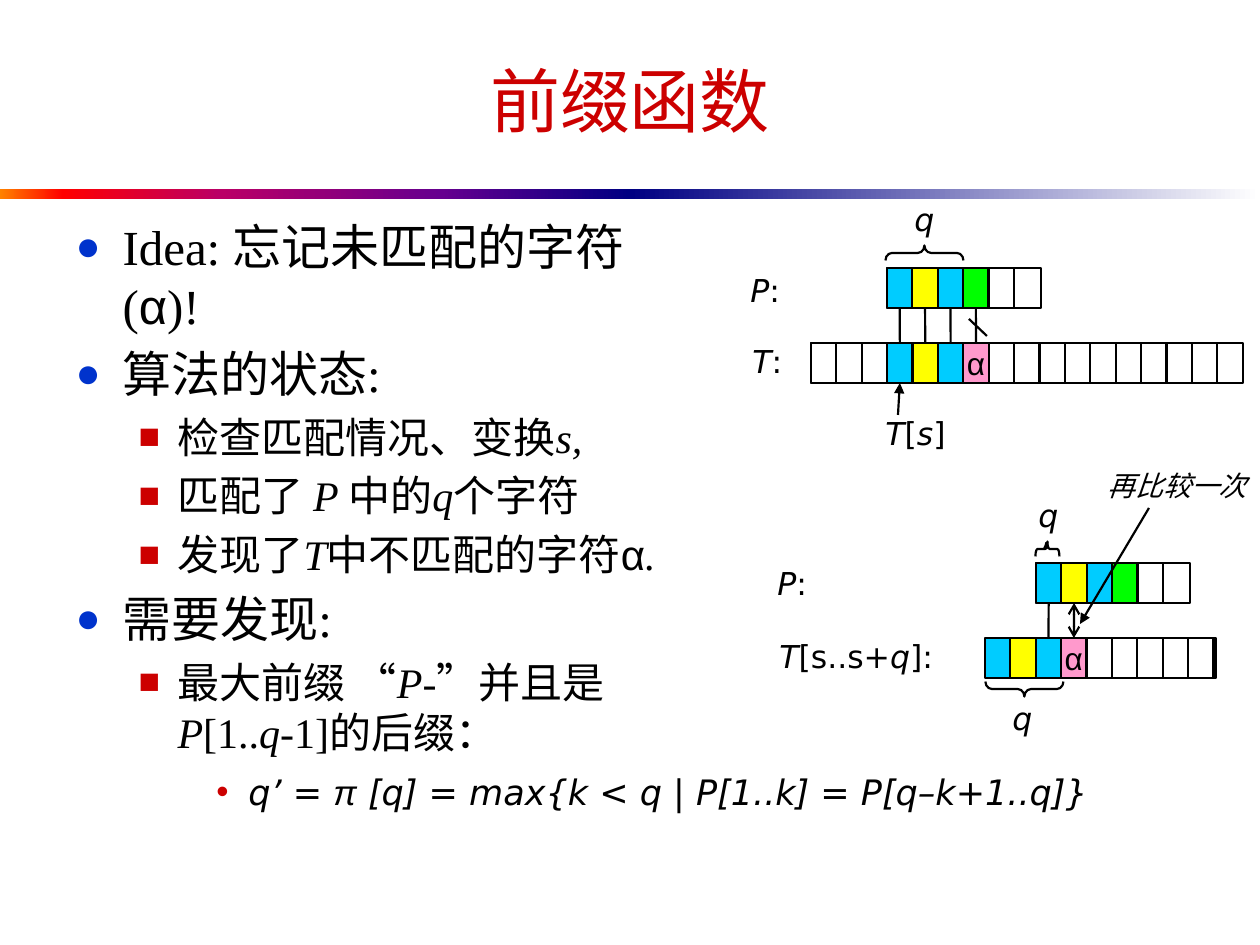
"""Build the slide on the prefix function of string matching."""
from dataclasses import dataclass
from itertools import groupby

from lxml import etree
from pptx import Presentation
from pptx.dml.color import RGBColor
from pptx.enum.shapes import MSO_CONNECTOR, MSO_SHAPE
from pptx.enum.text import MSO_ANCHOR, MSO_AUTO_SIZE, PP_ALIGN
from pptx.oxml.ns import qn
from pptx.util import Pt

RECT, BRACE = MSO_SHAPE.RECTANGLE, MSO_SHAPE.LEFT_BRACE
LINE = MSO_CONNECTOR.STRAIGHT
MIDDLE, CENTER = MSO_ANCHOR.MIDDLE, PP_ALIGN.CENTER
FIXED, GROW = MSO_AUTO_SIZE.NONE, MSO_AUTO_SIZE.SHAPE_TO_FIT_TEXT
SCALE = 914400 / 126
BLACK, RED, BLUE = "000000", "CC0000", "0033CC"
SANS, SERIF, ARIAL = "DejaVu Sans", "Times New Roman", "Arial"
FACES = {"α": ARIAL, "π": ARIAL, "：": ARIAL, "“": SANS, "”": SANS}
FILLS = {"b": "00CCFF", "y": "FFFF00", "g": "00FF00", "p": "FF99CC"}
CELL, HIGH = 25.4, 40


@dataclass
class Row:
    """A string of cells; a dot is a blank cell, and the frame is behind."""
    left: int
    top: int
    frame: int
    width: int
    cells: str


@dataclass
class Label:
    """A small text box; stars enclose italic text."""
    text: str
    left: int
    top: int
    width: int
    wrap: bool = False
    size: int = 18


@dataclass
class Brace:
    """A turned brace, with its place before the turn."""
    left: int
    top: int
    length: int
    turn: int
    bend: float
    flip: bool


@dataclass
class Level:
    """The look of one list level, with px indents."""
    size: int
    left: int
    hang: int
    mark: str
    color: str
    scale: int


LEVELS = [Level(28, 47, 47, "●", BLUE, 85), Level(24, 102, 39, "■", RED, 85),
          Level(20, 158, 32, "•", RED, 100)]
ITEMS = [
    (0, "Idea: 忘记未匹配的字符 (α)!"),
    (0, "算法的状态:"),
    (1, "检查匹配情况、变换*s,*"),
    (1, "匹配了 *P *中的*q*个字符"),
    (1, "发现了*T*中不匹配的字符α*.*"),
    (0, "需要发现:"),
    (1, "最大前缀 “*P*-”并且是 *P*[1..*q*-1]的后缀："),
]
FORMULA = "*q’ = π [q] = max{k < q | P[1..k] = P[q–k+1..q]}*"
ROWS = [Row(811, 343, 811, 432, "...bybp........."), Row(887, 268, 887, 154, "bybg."),
        Row(985, 638, 988, 228, "bybp....."), Row(1036, 563, 1036, 154, "bybg.")]
LABELS = [
    Label("*T*[*s*]", 873, 408, 89), Label("*q*", 902, 194, 45),
    Label("*T*:", 740, 336, 59), Label("*P*:", 738, 265, 59),
    Label("*q*", 1000, 693, 45), Label("*T*[s..s+*q*]:", 767, 631, 218, True),
    Label("*P*:", 765, 558, 84, True), Label("*q’*", 1026, 490, 54),
    Label("*再比较一次*", 1095, 462, 165, size=16),
]
BRACES = [Brace(917, 214, 78, 90, 0.44, True), Brace(1017, 650, 78, 270, 0.44, False),
          Brace(1040, 537, 24, 90, 0.14, True)]
BARS = [(0, [(0, "FF8200"), (10, "FF0000"), (35, "BA0066"), (70, "66008F"), (100, "000082")]),
        (630, [(0, "000082"), (100, "FFFFFF")])]


def px(*sizes: float) -> list:
    """Turn px lengths into EMU."""
    return [round(size * SCALE) for size in sizes]


def hue(code: str) -> RGBColor:
    """Turn a hex string into a colour."""
    return RGBColor.from_string(code)


def node(base, tag: str, **attrs: str):
    """Add a drawing element to a parent."""
    return etree.SubElement(base, qn("a:" + tag), attrs)


def write(para, text: str, *, size: int, face: str = SANS, color: str = BLACK) -> None:
    """Write text with starred italics and special faces for some signs."""
    for index, part in enumerate(text.split("*")):
        for name, signs in groupby(part, lambda sign: FACES.get(sign, face)):
            run = para.add_run()
            run.text = "".join(signs)
            run.font.size, run.font.name = Pt(size), name
            run.font.italic = index % 2 == 1
            run.font.color.rgb = hue(color)


def bullet(para, depth: int, text: str, face: str) -> None:
    """Write one list item."""
    look = LEVELS[depth]
    para.level = depth
    props = para._p.get_or_add_pPr()
    left, hang = px(look.left, look.hang)
    props.set("marL", str(left))
    props.set("indent", str(-hang))
    node(node(props, "buClr"), "srgbClr", val=look.color)
    node(props, "buSzPct", val=str(look.scale * 1000))
    node(props, "buFont", typeface=ARIAL)
    node(props, "buChar", char=look.mark)
    write(para, text, size=look.size, face=face)


def shape(slide, kind, box: tuple, fill: str = "", edge: bool = True):
    """Draw a preset shape."""
    item = slide.shapes.add_shape(kind, *px(*box))
    item.shadow.inherit = False
    if fill:
        item.fill.solid()
        item.fill.fore_color.rgb = hue(fill)
    else:
        item.fill.background()
    if edge:
        item.line.color.rgb, item.line.width = hue(BLACK), Pt(1.25)
    else:
        item.line.fill.background()
    return item


def bar(slide, left: int, stops: list) -> None:
    """Draw half of the rule below the title."""
    props = shape(slide, RECT, (left, 189, 630, 10), edge=False)._element.spPr
    grad = etree.Element(qn("a:gradFill"), rotWithShape="1")
    group = node(grad, "gsLst")
    for place, code in stops:
        node(node(group, "gs", pos=str(place * 1000)), "srgbClr", val=code)
    node(grad, "lin", ang="0", scaled="1")
    props.replace(props.find(qn("a:noFill")), grad)


def row(slide, data: Row) -> list:
    """Draw a row and return its cells."""
    shape(slide, RECT, (data.frame, data.top, data.width, HIGH))
    cells = []
    for index, key in enumerate(data.cells):
        box = (data.left + index * CELL, data.top, CELL, HIGH)
        cell = shape(slide, RECT, box, FILLS.get(key, ""))
        if key == "p":
            frame = cell.text_frame
            frame.word_wrap, frame.vertical_anchor = False, MIDDLE
            frame.paragraphs[0].alignment = CENTER
            write(frame.paragraphs[0], "α", size=18)
        cells.append(cell)
    return cells


def line(slide, ends: tuple, begin=None, end=None, head: str = "", tail: str = "") -> None:
    """Draw a line, joined to the bottom of begin and a (cell, side) end."""
    item = slide.shapes.add_connector(LINE, *px(*ends))
    if begin is not None:
        item.begin_connect(begin, 2)
    if end is not None:
        item.end_connect(*end)
    item.line.color.rgb, item.line.width = hue(BLACK), Pt(1.25)
    for tag, kind in (("headEnd", head), ("tailEnd", tail)):
        if kind:
            node(item.line._get_or_add_ln(), tag, type=kind)
    node(item._element.spPr, "effectLst")


def brace(slide, data: Brace) -> None:
    """Draw a brace."""
    item = shape(slide, BRACE, (data.left, data.top, 15, data.length))
    item.rotation = data.turn
    item.adjustments[0] = data.bend
    if data.flip:
        item._element.spPr.find(qn("a:xfrm")).set("flipV", "1")


def label(slide, data: Label) -> None:
    """Draw a label."""
    frame = slide.shapes.add_textbox(*px(data.left, data.top, data.width, 50)).text_frame
    frame.word_wrap, frame.auto_size = data.wrap, GROW
    write(frame.paragraphs[0], data.text, size=data.size)


def place(item, box: tuple):
    """Move a placeholder and return its text frame."""
    item.left, item.top, item.width, item.height = px(*box)
    item.text_frame.auto_size = FIXED
    return item.text_frame


def main() -> None:
    """Build and save the slide."""
    deck = Presentation()
    deck.slide_width, deck.slide_height = px(1260, 945)
    slide = deck.slides.add_slide(deck.slide_layouts[1])
    for left, stops in BARS:
        bar(slide, left, stops)
    title = place(slide.shapes.title, (63, 32, 1134, 136))
    title.vertical_anchor = MIDDLE
    title.paragraphs[0].alignment = CENTER
    write(title.paragraphs[0], "前缀函数", size=40, face=ARIAL, color=RED)
    body = place(slide.placeholders[1], (63, 210, 643, 580))
    for index, (depth, text) in enumerate(ITEMS):
        para = body.add_paragraph() if index else body.paragraphs[0]
        bullet(para, depth, text, SERIF)
    body.paragraphs[0].space_before = Pt(0)
    note = slide.shapes.add_textbox(*px(78, 764, 1182, 96)).text_frame
    note.word_wrap = True
    bullet(note.paragraphs[0], 2, FORMULA, SANS)
    note.paragraphs[0].space_before = Pt(0)

    text, word, tail, shift = [row(slide, data) for data in ROWS]
    for index in range(4):
        line(slide, (0, 0, 0, 0), word[index], (text[index + 3], 0))
    line(slide, (969, 319, 987, 336))
    line(slide, (898, 415, 898, 382), end=(text[3], 2), tail="triangle")
    line(slide, (0, 0, 0, 0), shift[0], (tail[2], 0))
    line(slide, (0, 0, 0, 0), shift[1], (tail[3], 0), "arrow", "arrow")
    line(slide, (1149, 508, 1080, 624), tail="triangle")
    for data in BRACES:
        brace(slide, data)
    for data in LABELS:
        label(slide, data)
    deck.save("out.pptx")


if __name__ == "__main__":
    main()
